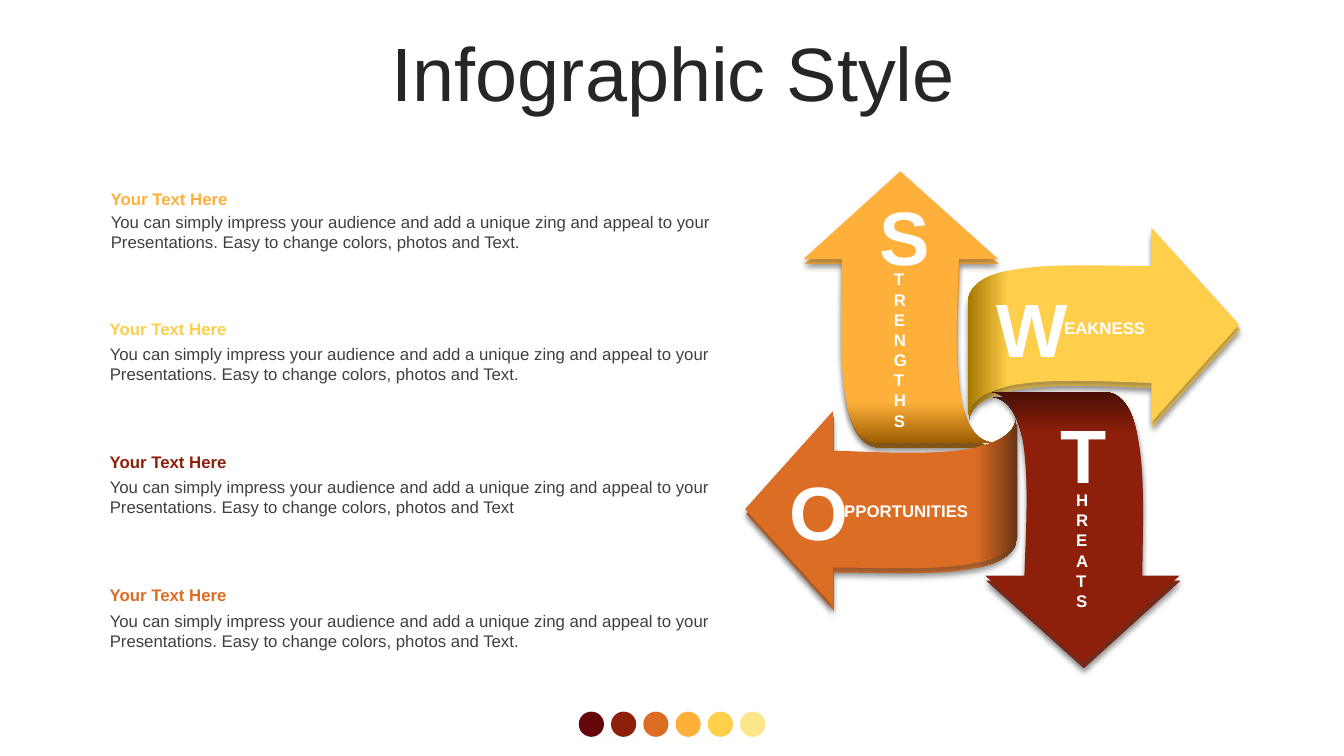
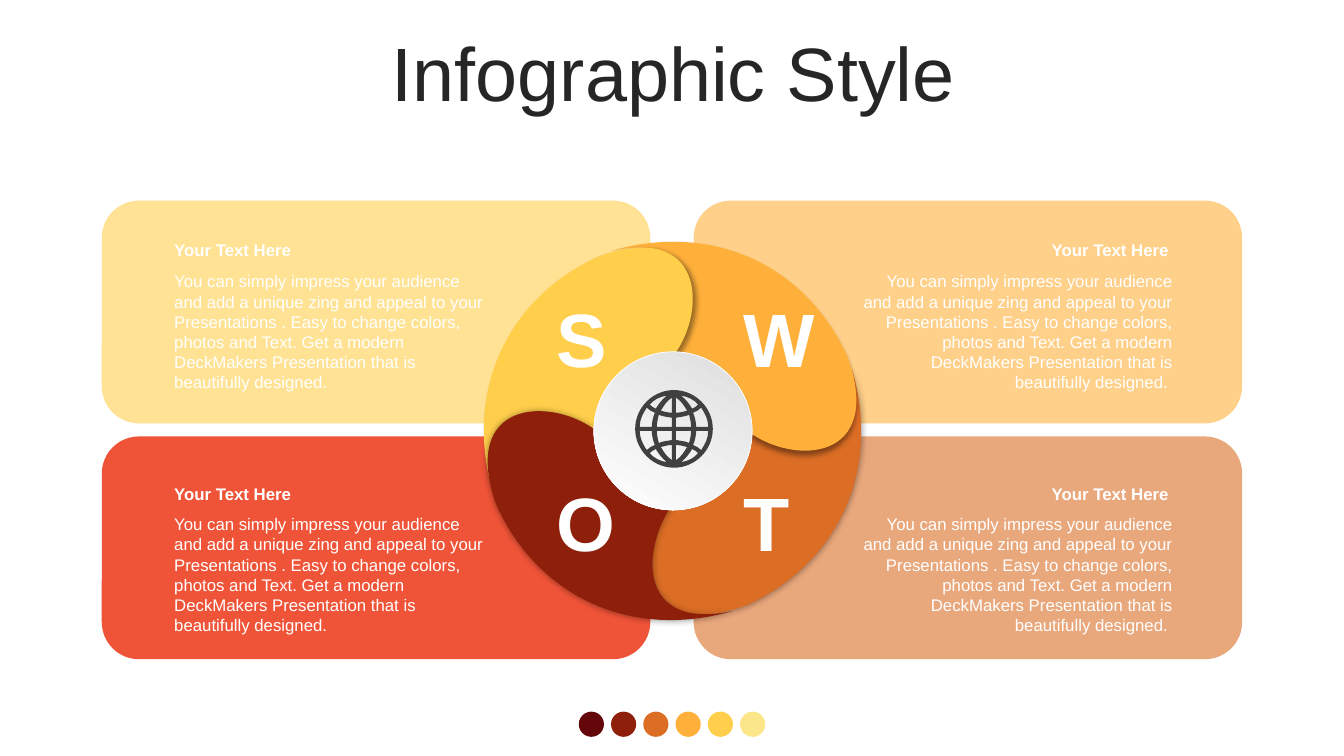
from dataclasses import dataclass
from typing import NamedTuple, Optional, Sequence

from lxml import etree
from pptx import Presentation
from pptx import util as u
from pptx.dml.color import RGBColor
from pptx.enum import shapes, text
from pptx.oxml.ns import qn

MAROON, BRICK, RUST, AMBER, GOLD, CREAM = PALETTE = (
    "63070A", "8E1F0B", "DB6D25", "FFB03B", "FFCE4B", "FCE68A")
WHITE, GREY, INK = "FFFFFF", "404040", "262626"

LEFT, CENTER, RIGHT = text.PP_ALIGN.LEFT, text.PP_ALIGN.CENTER, text.PP_ALIGN.RIGHT
TOP, MIDDLE = text.MSO_ANCHOR.TOP, text.MSO_ANCHOR.MIDDLE
OVAL, ROUNDED = shapes.MSO_SHAPE.OVAL, shapes.MSO_SHAPE.ROUNDED_RECTANGLE

BODY = {"name": "Arial", "size": u.Pt(12), "bold": False}
HEADING = {**BODY, "bold": True}
INITIAL = {**HEADING, "size": u.Pt(54)}
TITLE = {**INITIAL, "bold": False}

TEXT_HEADING = "Your Text Here"
IMPRESS = ("You can simply impress your audience and add a unique zing and appeal "
           "to your Presentations")
ARROW_BODY = f"{IMPRESS}. Easy to change colors, photos and Text"
CARD_BODY = (f"{IMPRESS} . Easy to change colors, photos and Text. "
             "Get a modern DeckMakers Presentation that is beautifully designed.")

# Contours in inches: two numbers are a point, six are a Bezier curve.
ARROW_SIZE = (1.93, 2.69)
ARROW_CONTOUR = (
    (0, 0.87), (0.96, 0), (1.93, 0.87), (1.54, 0.87),
    (1.52, 1.52, 1.43, 2.63, 1.86, 2.69), (0.75, 2.69),
    (0.29, 2.68, 0.38, 1.62, 0.38, 0.87))
PETAL_SIZE = (2.07, 2.43)
PETAL_CONTOUR = (
    (0.09, 2.43), (-0.22, 1.36, 0.29, 0.46, 1.15, 0.08),
    (2.18, -0.28, 2.22, 0.62, 1.88, 1.07),
    (1.39, 1.09, 1.12, 1.47, 1.13, 1.82),
    (0.72, 1.53, -0.12, 1.47, 0.09, 2.43))
GLOBE_RADIUS = 0.385
# Openings in the upper right quarter of the globe, measured from its centre.
GLOBE_OPENINGS = (
    ((0.07, -0.33), (0.12, -0.29, 0.15, -0.25, 0.18, -0.2),
     (0.2, -0.21, 0.22, -0.22, 0.24, -0.24), (0.2, -0.29, 0.14, -0.32, 0.07, -0.33)),
    ((0.02, -0.31), (0.02, -0.16), (0.06, -0.16, 0.09, -0.17, 0.13, -0.18),
     (0.1, -0.23, 0.07, -0.28, 0.02, -0.31)),
    ((0.15, -0.14), (0.11, -0.12, 0.06, -0.12, 0.02, -0.11), (0.02, -0.02),
     (0.17, -0.02), (0.17, -0.06, 0.16, -0.1, 0.15, -0.14)),
    ((0.27, -0.21), (0.25, -0.19, 0.22, -0.17, 0.19, -0.16),
     (0.21, -0.11, 0.22, -0.06, 0.22, -0.02), (0.34, -0.02),
     (0.34, -0.09, 0.31, -0.15, 0.27, -0.21)))
UNITS_PER_INCH = 1000


class Box(NamedTuple):
    left: float
    top: float
    width: float
    height: float

    def lengths(self) -> list:
        return [u.Inches(value) for value in self]


class Shadow(NamedTuple):
    color: str
    alpha: int
    blur: int
    distance: int
    direction: int


@dataclass
class Arrow:
    left: float
    top: float
    rotation: int
    color: str
    dark: str


@dataclass
class Petal:
    left: float
    top: float
    rotation: int
    color: str
    shadow: Shadow


@dataclass
class Note:
    color: str
    heading_top: float
    body_top: float
    left: float = 0.99
    ending: str = "."


@dataclass
class Card:
    initial: str
    color: str
    column: int
    row: int


@dataclass
class Label:
    lines: Sequence[str]
    box: Box
    roundness: float


ARROW_SHADOW = Shadow(GREY, 43, 4, 3, 90)
GLOW = Shadow("000000", 40, 5, 0, 0)

ARROWS = (
    Arrow(7.97, 1.7, 0, AMBER, "9D5E00"),
    Arrow(9.98, 1.88, 90, GOLD, "A57800"),
    Arrow(9.77, 3.89, 180, BRICK, "470F05"),
    Arrow(7.77, 3.7, 270, RUST, "6E3612"))
ARROW_INITIALS = (("S", 8.62, 1.83), ("W", 9.79, 2.75),
                  ("O", 7.73, 4.56), ("T", 10.42, 4))
LABELS = (
    Label(["EAKNESS"], Box(10.44, 3.11, 1.52, 0.29), 0.18),
    Label(["PPORTUNITIES"], Box(8.26, 4.92, 1.95, 0.29), 0.18),
    Label(list("TRENGTHS"), Box(8.69, 2.52, 0.52, 1.9), 0.5),
    Label(["HR", *"EATS"], Box(10.51, 4.8, 0.44, 1.32), 0.5))
NOTES = (
    Note(AMBER, 1.82, 2.05, left=1),
    Note(GOLD, 3.11, 3.36),
    Note(BRICK, 4.43, 4.68, ending=""),
    Note(RUST, 5.75, 6.01))
PETALS = (
    Petal(6.47, 3.66, 180, RUST, GLOW),
    Petal(6.24, 2.22, 90, AMBER, Shadow("000000", 40, 4, 3, 90)),
    Petal(4.8, 2.46, 0, GOLD, Shadow("000000", 40, 4, 3, 45)),
    Petal(5.02, 3.9, 270, BRICK, GLOW))
CARDS = (
    Card("S", "FFE293", 0, 0), Card("O", "F05438", 0, 1),
    Card("W", "FFD089", 1, 0), Card("T", "E9A77C", 1, 1))


def rgb(color: str) -> RGBColor:
    return RGBColor.from_string(color)


def write_text(shape, lines: Sequence[str], font_format: dict, color: str,
               align=LEFT, anchor=TOP, **paragraph_format) -> None:
    frame = shape.text_frame
    frame.word_wrap = True
    frame.vertical_anchor = anchor
    for index, line in enumerate(lines):
        paragraph = frame.paragraphs[0] if index == 0 else frame.add_paragraph()
        for name, value in {"alignment": align, **paragraph_format}.items():
            setattr(paragraph, name, value)
        run = paragraph.add_run()
        run.text = line
        for name, value in font_format.items():
            setattr(run.font, name, value)
        run.font.color.rgb = rgb(color)


def add_text(slide, line: str, box: Box, font_format: dict, color: str,
             align=LEFT, anchor=TOP, **paragraph_format) -> None:
    write_text(slide.shapes.add_textbox(*box.lengths()), [line], font_format, color,
               align, anchor, **paragraph_format)


def paint(shape, color: Optional[str] = None, line: Optional[str] = None,
          weight: float = 0) -> None:
    """Set fill and outline; None leaves that part empty."""
    shape.shadow.inherit = False
    for fill, value in ((shape.fill, color), (shape.line.fill, line)):
        if value is None:
            fill.background()
        else:
            fill.solid()
            fill.fore_color.rgb = rgb(value)
    if line:
        shape.line.width = u.Pt(weight)


def paint_gradient(shape, stops: Sequence[tuple], clockwise: int) -> None:
    shape.fill.gradient()
    shape.fill.gradient_angle = 360 - clockwise
    for stop, (position, color) in zip(shape.fill.gradient_stops, stops):
        stop.position = position
        stop.color.rgb = rgb(color)


def cast_shadow(shape, shadow: Shadow) -> None:
    effects = shape._element.spPr.find(qn("a:effectLst"))
    outer = etree.SubElement(
        effects, qn("a:outerShdw"), blurRad=str(u.Pt(shadow.blur)),
        dist=str(u.Pt(shadow.distance)), dir=str(shadow.direction * 60000),
        algn="ctr", rotWithShape="0")
    color = etree.SubElement(outer, qn("a:srgbClr"), val=shadow.color)
    etree.SubElement(color, qn("a:alpha"), val=str(shadow.alpha * 1000))


def add_preset(slide, kind, box: Box, color: Optional[str] = None,
               line: Optional[str] = None, weight: float = 0):
    shape = slide.shapes.add_shape(kind, *box.lengths())
    paint(shape, color, line, weight)
    return shape


def add_curved(slide, contours: Sequence[Sequence[tuple]], box: Box,
               rotation: int = 0):
    """Add a freeform of the box's size and draw the contours in it with true curves."""
    width, height = (round(side * UNITS_PER_INCH) for side in (box.width, box.height))
    builder = slide.shapes.build_freeform(0, 0, u.Inches(1) / UNITS_PER_INCH)
    builder.add_line_segments([(width, 0), (width, height), (0, height)])
    shape = builder.convert_to_shape(u.Inches(box.left), u.Inches(box.top))
    outline = next(shape._element.iter(qn("a:path")))
    for corner in list(outline):
        outline.remove(corner)
    for contour in contours:
        for index, numbers in enumerate(contour):
            tag = "a:cubicBezTo" if len(numbers) == 6 else "a:lnTo"
            part = etree.SubElement(outline, qn(tag if index else "a:moveTo"))
            for x, y in zip(numbers[::2], numbers[1::2]):
                etree.SubElement(part, qn("a:pt"), x=str(round(x * UNITS_PER_INCH)),
                                 y=str(round(y * UNITS_PER_INCH)))
        etree.SubElement(outline, qn("a:close"))
    shape.rotation = rotation
    return shape


def add_initial(slide, initial: str, left: float, top: float) -> None:
    add_text(slide, initial, Box(left, top, 0.63, 1.01), INITIAL, WHITE, CENTER)


def add_base_slide(presentation):
    """Add a slide with the shared title and palette dots."""
    slide = presentation.slides.add_slide(presentation.slide_layouts[6])
    for index, color in enumerate(PALETTE):
        add_preset(slide, OVAL, Box(5.74 + 0.32 * index, 7.06, 0.25, 0.25), color)
    add_text(slide, "Infographic Style", Box(0.35, 0.37, 12.66, 0.79), TITLE, INK,
             CENTER, MIDDLE, line_spacing=0.9, space_before=u.Pt(10))
    return slide


def add_globe(slide, left: float, top: float) -> None:
    r, bend = GLOBE_RADIUS, 0.21
    rim = ((0, -r), (bend, -r, r, -bend, r, 0), (r, bend, bend, r, 0, r),
           (-bend, r, -r, bend, -r, 0), (-r, -bend, -bend, -r, 0, -r))
    mirrors = [(opening, sx, sy) for opening in GLOBE_OPENINGS
               for sx in (1, -1) for sy in (1, -1)]
    contours = [
        [tuple(r + value * (sy if index % 2 else sx)
               for index, value in enumerate(numbers)) for numbers in contour]
        for contour, sx, sy in [(rim, 1, 1), *mirrors]]
    paint(add_curved(slide, contours, Box(left, top, 2 * r, 2 * r)), GREY)


def build_arrow_slide(presentation) -> None:
    slide = add_base_slide(presentation)
    for arrow in ARROWS:
        for dx, dy in ((0.01, 0.05), (0, 0)):
            box = Box(arrow.left + dx, arrow.top + dy, *ARROW_SIZE)
            shape = add_curved(slide, [ARROW_CONTOUR], box, arrow.rotation)
            paint(shape)
            paint_gradient(shape, ((0.85, arrow.color), (1, arrow.dark)), 90)
            cast_shadow(shape, ARROW_SHADOW)
    for initial in ARROW_INITIALS:
        add_initial(slide, *initial)
    for label in LABELS:
        shape = add_preset(slide, ROUNDED, label.box)
        shape.adjustments[0] = label.roundness
        write_text(shape, label.lines, HEADING, WHITE, anchor=MIDDLE)
    for note in NOTES:
        add_text(slide, ARROW_BODY + note.ending,
                 Box(note.left, note.body_top, 6.19, 0.5), BODY, GREY)
        add_text(slide, TEXT_HEADING, Box(note.left, note.heading_top, 6.2, 0.3),
                 HEADING, note.color)


def build_wheel_slide(presentation) -> None:
    slide = add_base_slide(presentation)
    for card in CARDS:
        add_preset(slide, ROUNDED, Box(1.01 + 5.87 * card.column, 1.99 + 2.34 * card.row,
                                       5.44, 2.21), card.color)
    for petal in PETALS:
        shape = add_curved(slide, [PETAL_CONTOUR],
                           Box(petal.left, petal.top, *PETAL_SIZE), petal.rotation)
        paint(shape, petal.color)
        cast_shadow(shape, petal.shadow)
    hub = add_preset(slide, OVAL, Box(5.89, 3.49, 1.57, 1.57), line=WHITE, weight=0.5)
    paint_gradient(hub, ((0, "DEDEDE"), (1, WHITE)), 120)
    for card in CARDS:
        add_initial(slide, card.initial, 5.42 + 1.86 * card.column, 2.85 + 1.82 * card.row)
        align, ending = (RIGHT, " ") if card.column else (LEFT, "")
        add_text(slide, CARD_BODY + ending,
                 Box(1.63 + 6.8 * card.column, 2.64 + 2.41 * card.row, 3.3, 1.31),
                 BODY, WHITE, align)
        add_text(slide, TEXT_HEADING,
                 Box(1.63 + 6.79 * card.column, 2.33 + 2.42 * card.row, 3.27, 0.3),
                 HEADING, WHITE, align)
    add_globe(slide, 6.3, 3.87)


def main() -> None:
    presentation = Presentation()
    presentation.slide_width = u.Inches(13.33)
    presentation.slide_height = u.Inches(7.5)
    build_arrow_slide(presentation)
    build_wheel_slide(presentation)
    presentation.save("out.pptx")


if __name__ == "__main__":
    main()
